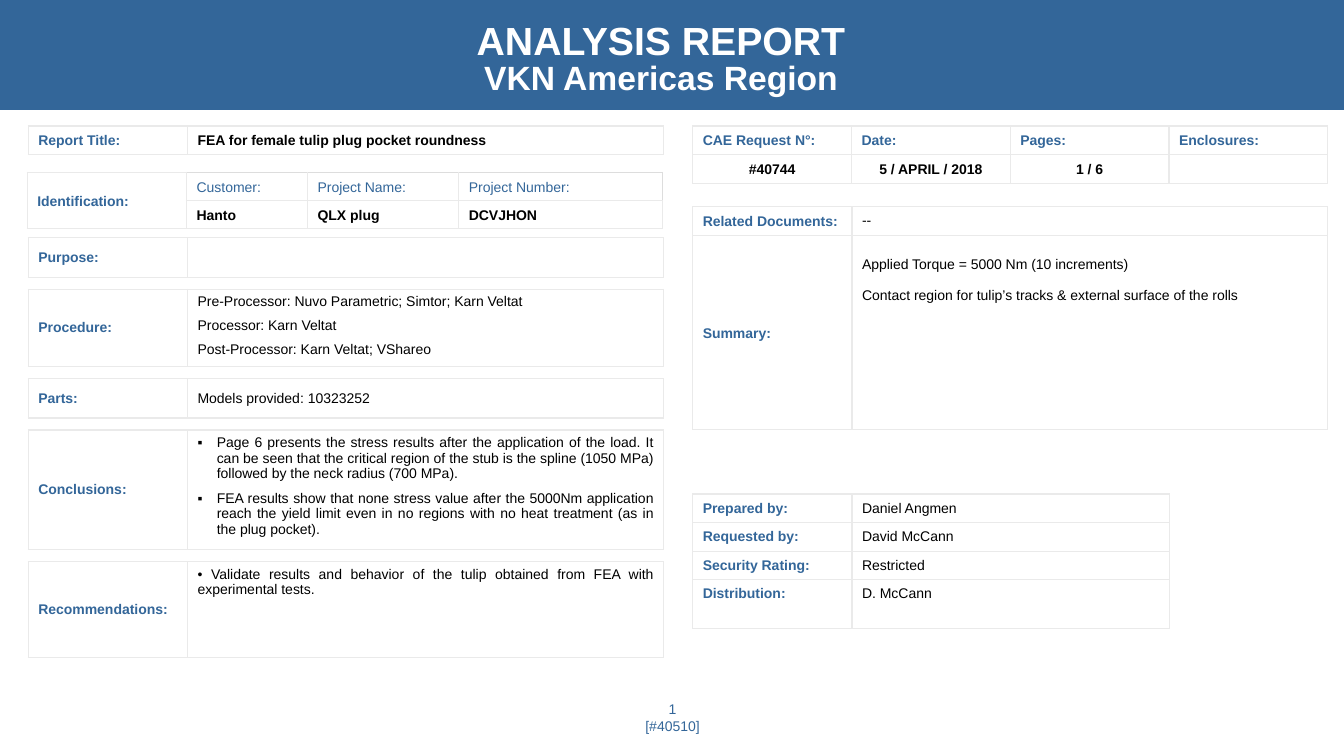
from collections import namedtuple

from lxml.etree import SubElement
from pptx import Presentation
from pptx.dml.color import RGBColor
from pptx.enum.shapes import MSO_SHAPE as Shape
from pptx.enum.text import MSO_ANCHOR as Anchor, PP_ALIGN as Align
from pptx.oxml.ns import qn
from pptx.util import Inches, Pt

Box = namedtuple("Box", "left top width height")
BLUE, BLACK, WHITE, RULE, HEADER_RULE = "336699", "000000", "FFFFFF", "EAEAEA", "DDDDDD"
LABEL_WIDTH = 1.58
ROW = 0.28
GRID = dict(L=RULE, R=RULE, T=RULE, B=RULE)


def colour(code):
    return RGBColor.from_string(code)


def write(para, text, size=10, color=BLACK, bold=False, align=Align.LEFT,
          spacing=1.0, before=0, bullet=None, indent=0):
    para.alignment = align
    para.line_spacing = spacing
    para.space_before = Pt(before)
    if bullet:
        props = para._p.get_or_add_pPr()
        props.set("marL", str(Inches(indent)))
        props.set("indent", str(-Inches(indent)))
        SubElement(props, qn("a:buFont"), typeface="Arial")
        SubElement(props, qn("a:buChar"), char=bullet)
    if not text:
        SubElement(para._p, qn("a:endParaRPr"), sz=str(int(size * 100)))
        return
    para.text = text
    for span in para.runs:
        span.font.name = "Arial"
        span.font.size = Pt(size)
        span.font.bold = bold
        span.font.color.rgb = colour(color)


def draw_edges(cell, edges):
    props = cell._tc.get_or_add_tcPr()
    for side in "LRTB":
        line = SubElement(props, qn(f"a:ln{side}"), w=str(Pt(1)))
        if side in edges:
            fill = SubElement(line, qn("a:solidFill"))
            SubElement(fill, qn("a:srgbClr"), val=edges[side])
        else:
            SubElement(line, qn("a:noFill"))


def fill_cell(cell, text="", edges=GRID, anchor=Anchor.MIDDLE, top=0.05, bottom=0.05,
              sizes=(10,), **style):
    draw_edges(cell, edges)
    cell.fill.background()
    cell.vertical_anchor = anchor
    cell.margin_left = cell.margin_right = Inches(0.1)
    cell.margin_top, cell.margin_bottom = Inches(top), Inches(bottom)
    frame = cell.text_frame
    for index, line in enumerate(text.split("\n")):
        para = frame.add_paragraph() if index else frame.paragraphs[0]
        write(para, line, size=sizes[index % len(sizes)], **style)


def add_grid(page, left, top, widths, heights, rows):
    table = page.shapes.add_table(len(heights), len(widths), Inches(left), Inches(top),
                                  Inches(sum(widths)), Inches(sum(heights))).table
    table.first_row = table.horz_banding = False
    for column, width in zip(table.columns, widths):
        column.width = Inches(width)
    for row, height, contents in zip(table.rows, heights, rows):
        row.height = Inches(height)
        for cell, content in zip(row.cells, contents):
            fill_cell(cell, **content)
    return table


def label(text, **style):
    return dict(text=text, color=BLUE, **{"bold": True, **style})


def value(text, **style):
    return dict(text=text, **style)


def add_header(page, box):
    banner = page.shapes.add_shape(Shape.RECTANGLE, *map(Inches, box))
    banner.shadow.inherit = False
    banner.fill.solid()
    banner.fill.fore_color.rgb = colour(BLUE)
    banner.line.fill.background()
    heading = value("ANALYSIS REPORT\nVKN Americas Region", sizes=(28, 24), color=WHITE,
                    bold=True, align=Align.CENTER, spacing=Pt(24.5), anchor=Anchor.TOP,
                    top=0.07, edges={})
    add_grid(page, box.left + 4.58, box.top + 0.22, [3.97], [0.89], [[heading]])


def add_identification(page, left, top, width):
    tight = dict(top=0, bottom=0, spacing=1.1)
    header = dict(tight, bold=False, edges=dict(GRID, T=HEADER_RULE, R=HEADER_RULE))
    names = ["Customer:", "Project Name:", "Project Number:"]
    entries = ["Hanto", "QLX plug", "DCVJHON"]
    rows = [[label("Identification:", **tight)] + [label(name, **header) for name in names],
            [value("", **tight)] + [value(entry, bold=True, **tight) for entry in entries]]
    widths = [LABEL_WIDTH, 1.2, 1.5]
    table = add_grid(page, left, top, widths + [width - sum(widths)], [ROW] * 2, rows)
    table.cell(0, 0).merge(table.cell(1, 0))


def add_sections(page, left, top, widths):
    body = dict(anchor=Anchor.TOP, align=Align.JUSTIFY, before=6)
    sections = [
        ("Purpose:", 0.39, value("")),
        ("Procedure:", 0.76, value(
            "Pre-Processor: Nuvo Parametric; Simtor; Karn Veltat\n"
            "Processor: Karn Veltat\n"
            "Post-Processor: Karn Veltat; VShareo", **body)),
        ("Parts:", 0.39, value("Models provided: 10323252")),
        ("Conclusions:", 1.18, value(
            "Page 6 presents the stress results after the application of the load. It can be seen "
            "that the critical region of the stub is the spline (1050 MPa) followed by the neck "
            "radius (700 MPa).\n"
            "FEA results show that none stress value after the 5000Nm application reach the yield "
            "limit even in no regions with no heat treatment (as in the plug pocket).",
            bullet="▪", indent=0.19, **body)),
        ("Recommendations:", 0.95, value(
            " Validate results and behavior of the tulip obtained from FEA with experimental tests.",
            bullet="•", **body)),
    ]
    gap = value("", sizes=(1,), top=0, bottom=0, edges=dict(T=RULE, B=RULE))
    last_gap = dict(gap, edges=dict(T=RULE))
    rows, heights = [], []
    for name, height, content in sections:
        spacer = last_gap if name == sections[-1][0] else gap
        rows += [[label(name), content], [spacer] * 2]
        heights += [height, 0.12]
    add_grid(page, left, top, widths, heights, rows)


def add_findings(page, box):
    widths = [LABEL_WIDTH, box.width - LABEL_WIDTH]
    title = "FEA for female tulip plug pocket roundness"
    add_identification(page, box.left - 0.01, box.top + 0.46, box.width)
    add_grid(page, box.left, box.top, widths, [ROW],
             [[label("Report Title:", spacing=1.1), value(title, bold=True, spacing=1.1)]])
    add_sections(page, box.left, box.top + 1.11, widths)


def add_request(page, box):
    summary = ("Applied Torque = 5000 Nm (10 increments)\n"
               "Contact region for tulip’s tracks & external surface of the rolls")
    add_grid(page, box.left, box.top + 0.8, [LABEL_WIDTH, box.width - LABEL_WIDTH], [ROW, 1.93],
             [[label("Related Documents:", spacing=1.1), value("--")],
              [label("Summary:", spacing=1.1),
               value(summary, anchor=Anchor.TOP, top=0.21, before=11)]])

    names = ["CAE Request N°:", "Date:", "Pages:", "Enclosures:"]
    entries = ["#40744", "5 / APRIL / 2018", "1 / 6", ""]
    centred = dict(bold=True, align=Align.CENTER, spacing=1.1)
    add_grid(page, box.left, box.top, [box.width / 4] * 4, [ROW] * 2,
             [[label(name, spacing=1.1) for name in names],
              [value(entry, **centred) for entry in entries]])

    people = {"Prepared by:": "Daniel Angmen", "Requested by:": "David McCann",
              "Security Rating:": "Restricted", "Distribution:": "D. McCann"}
    upper = dict(anchor=Anchor.TOP, spacing=1.1)
    add_grid(page, box.left, box.top + 3.65, [LABEL_WIDTH, 3.15], [ROW] * 3 + [0.48],
             [[label(role, **upper), value(name, **upper)] for role, name in people.items()])


def add_footer(page, box):
    frame = page.shapes.add_textbox(*map(Inches, box)).text_frame
    frame.word_wrap = True
    frame.vertical_anchor = Anchor.MIDDLE
    frame.margin_left = frame.margin_right = frame.margin_top = frame.margin_bottom = 0
    write(frame.paragraphs[0], "1\v[#40510]", color=BLUE, align=Align.CENTER)


def main():
    deck = Presentation()
    deck.slide_width, deck.slide_height = Inches(13.33), Inches(7.5)
    page = deck.slides.add_slide(deck.slide_layouts[6])
    add_header(page, Box(-0.01, 0, 13.35, 1.09))
    add_footer(page, Box(4.56, 6.95, 4.22, 0.34))
    add_findings(page, Box(0.28, 1.25, 6.3, 5.44))
    add_request(page, Box(6.87, 1.25, 6.3, 5.11))
    deck.save("out.pptx")


if __name__ == "__main__":
    main()
